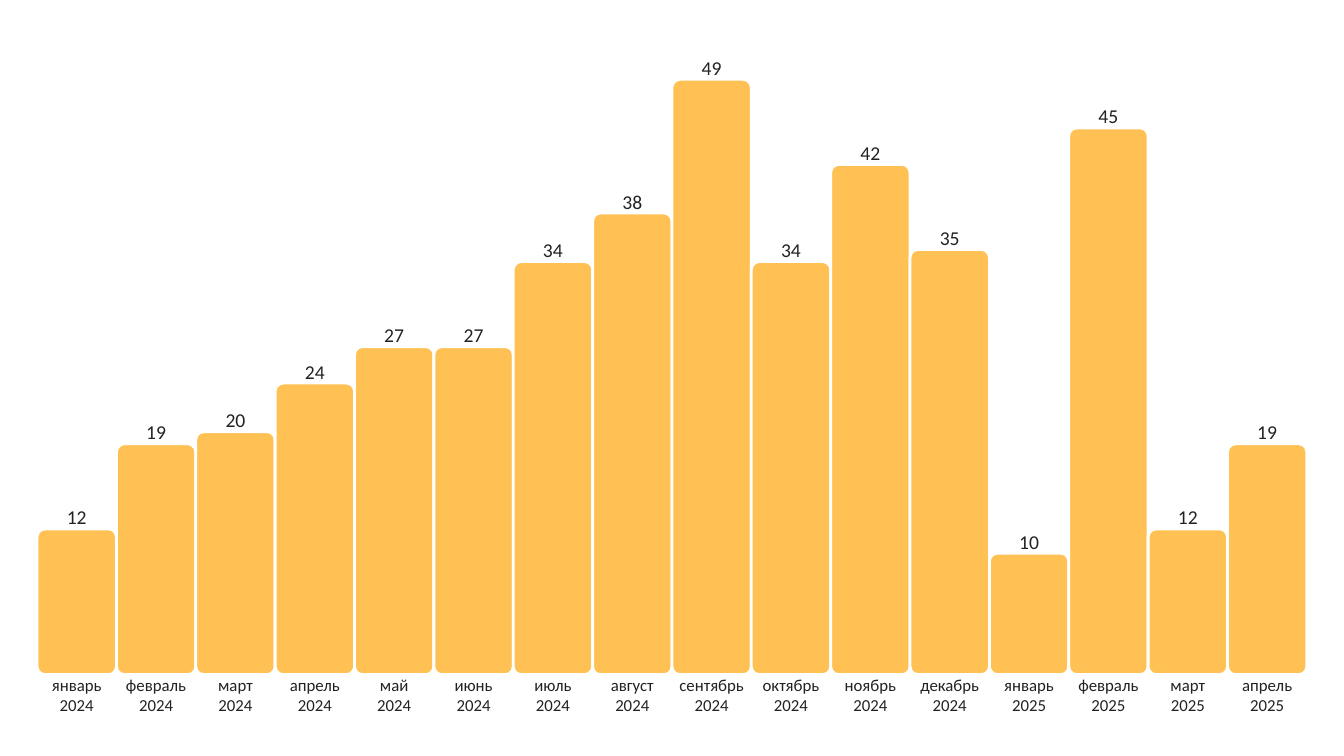
from dataclasses import dataclass
from pptx import Presentation
from pptx.dml.color import RGBColor
from pptx.enum.shapes import MSO_SHAPE
from pptx.enum.text import MSO_ANCHOR, MSO_AUTO_SIZE, PP_ALIGN
from pptx.util import Cm, Pt

ROUND = MSO_SHAPE.ROUNDED_RECTANGLE
TOP, BOTTOM = MSO_ANCHOR.TOP, MSO_ANCHOR.BOTTOM
GROW = MSO_AUTO_SIZE.SHAPE_TO_FIT_TEXT
CENTER = PP_ALIGN.CENTER


@dataclass(frozen=True)
class Theme:
    bar: RGBColor = RGBColor(0xFF, 0xC1, 0x54)
    edge: RGBColor = RGBColor(0xFF, 0xFF, 0xFF)
    ink: RGBColor = RGBColor(0x22, 0x22, 0x22)
    font: str = "Calibri"
    value: Pt = Pt(14)
    month: Pt = Pt(12)
    line: Pt = Pt(2)


theme = Theme()
frame_format = {
    "margin_left": 0, "margin_right": 0, "margin_top": 0, "margin_bottom": 0,
    "word_wrap": True, "auto_size": GROW,
}


def add_label(group, left, top, lines, size, anchor):
    frame = group.shapes.add_textbox(Cm(left), Cm(top), Cm(STEP), Cm(LABEL)).text_frame
    for name, value in {**frame_format, "vertical_anchor": anchor}.items():
        setattr(frame, name, value)
    frame.text = "\n".join(lines)
    for para in frame.paragraphs:
        para.alignment = CENTER
        font = para.runs[0].font
        for name, value in {"name": theme.font, "size": size}.items():
            setattr(font, name, value)
        font.color.rgb = theme.ink


WIDTH, HEIGHT = 33.87, 19.05
STEP, LABEL = 2, 1
BASE, TALL = 17, 15

months = [
    "январь", "февраль", "март", "апрель", "май", "июнь",
    "июль", "август", "сентябрь", "октябрь", "ноябрь", "декабрь",
]
counts = [12, 19, 20, 24, 27, 27, 34, 38, 49, 34, 42, 35, 10, 45, 12, 19]
start = (WIDTH - STEP * len(counts)) / 2
scale = TALL / max(counts)

deck = Presentation()
deck.slide_width, deck.slide_height = Cm(WIDTH), Cm(HEIGHT)
slide = deck.slides.add_slide(deck.slide_layouts[6])
group = slide.shapes.add_group_shape()

for i, count in enumerate(counts):
    year, month = divmod(i, len(months))
    left = start + i * STEP
    tall = count * scale
    top = BASE - tall

    bar = group.shapes.add_shape(ROUND, Cm(left), Cm(top), Cm(STEP), Cm(tall))
    bar.adjustments[0] = 0.1
    bar.shadow.inherit = False
    bar.fill.solid()
    bar.fill.fore_color.rgb = theme.bar
    bar.line.color.rgb = theme.edge
    bar.line.width = theme.line

    add_label(group, left, top - LABEL, [str(count)], theme.value, BOTTOM)
    add_label(group, left, BASE, [months[month], str(2024 + year)], theme.month, TOP)

deck.save("out.pptx")
